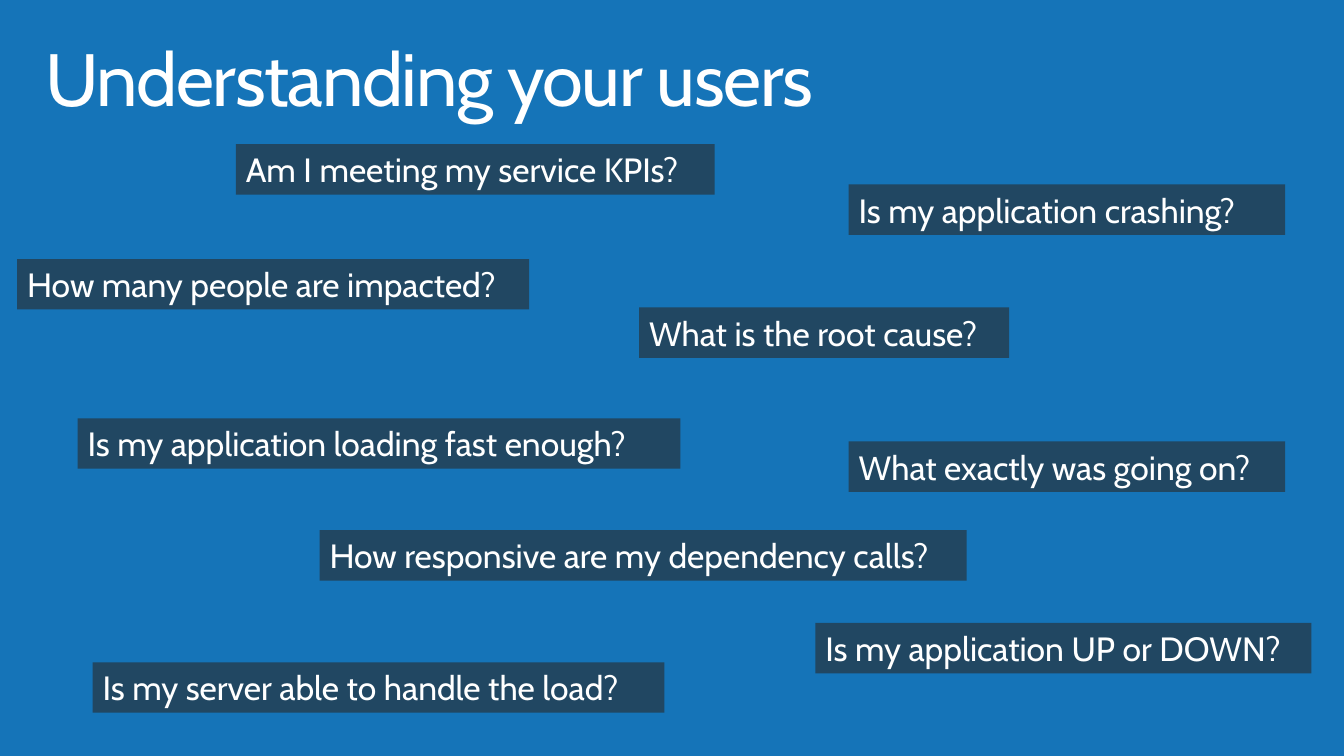
"""Build a slide of questions scattered under the title Understanding your users."""
import pptx
import pptx.dml.color
import pptx.enum.shapes
import pptx.enum.text
import pptx.oxml
import pptx.oxml.ns
import pptx.util

WIDTH, HEIGHT = 13.33, 7.5
FONT = "Cabin"
COLORS = {"background": "1574B8", "label": "292929", "text": "FFFFFF"}
LABEL_OPACITY = 60
LABEL_HEIGHT = 6.67

TITLE = ("Understanding your users", 2.18, 4.27, 94.65, 13.07)

# Text, then left, top and width as percentages of the slide
QUESTIONS = [
    ("Am I meeting my service KPIs?", 17.55, 19.07, 35.63),
    ("What is the root cause?", 47.55, 40.67, 27.53),
    ("Is my application loading fast enough?", 5.78, 55.33, 44.85),
    ("Is my application UP or DOWN?", 60.68, 82.4, 36.9),
    ("How many people are impacted?", 1.28, 34.27, 38.1),
    ("Is my application crashing?", 63.15, 24.4, 32.48),
    ("What exactly was going on?", 63.15, 58.4, 32.48),
    ("How responsive are my dependency calls?", 23.78, 70.13, 48.15),
    ("Is my server able to handle the load?", 6.9, 87.6, 42.53),
]


def color(name):
    return pptx.dml.color.RGBColor.from_string(COLORS[name])


def add_text(page, text, left, top, width, height, *, size, fill=None, opacity=100,
             inset=(0.1, 0.05), line_spacing=1.0, tracking=0, grow=False):
    box = page.shapes.add_shape(
        pptx.enum.shapes.MSO_SHAPE.RECTANGLE,
        pptx.util.Inches(WIDTH * left / 100), pptx.util.Inches(HEIGHT * top / 100),
        pptx.util.Inches(WIDTH * width / 100), pptx.util.Inches(HEIGHT * height / 100),
    ) if fill else page.shapes.add_textbox(
        pptx.util.Inches(WIDTH * left / 100), pptx.util.Inches(HEIGHT * top / 100),
        pptx.util.Inches(WIDTH * width / 100), pptx.util.Inches(HEIGHT * height / 100),
    )
    if fill:
        box.shadow.inherit = False
        box.line.fill.background()
        box.fill.solid()
        box.fill.fore_color.rgb = color(fill)
        shade = box.fill._xPr.find(".//" + pptx.oxml.ns.qn("a:srgbClr"))
        alpha = pptx.oxml.parse_xml(f'<a:alpha {pptx.oxml.ns.nsdecls("a")} val="{opacity * 1000}"/>')
        shade.append(alpha)

    frame = box.text_frame
    frame.word_wrap = True
    frame.vertical_anchor = pptx.enum.text.MSO_ANCHOR.TOP
    fit = pptx.enum.text.MSO_AUTO_SIZE
    frame.auto_size = fit.SHAPE_TO_FIT_TEXT if grow else fit.NONE
    frame.margin_left = frame.margin_right = pptx.util.Inches(inset[0])
    frame.margin_top = frame.margin_bottom = pptx.util.Inches(inset[1])

    para = frame.paragraphs[0]
    para.alignment = pptx.enum.text.PP_ALIGN.LEFT
    para.line_spacing = line_spacing
    span = para.add_run()
    span.text = text
    span.font.name = FONT
    span.font.size = pptx.util.Pt(size)
    span.font.color.rgb = color("text")
    if tracking:
        span.font._element.set("spc", str(tracking * 100))


def main():
    deck = pptx.Presentation()
    deck.slide_width = pptx.util.Inches(WIDTH)
    deck.slide_height = pptx.util.Inches(HEIGHT)
    page = deck.slides.add_slide(deck.slide_layouts[6])
    page.background.fill.solid()
    page.background.fill.fore_color.rgb = color("background")

    add_text(page, *TITLE, size=52.9, inset=(0.16, 0.1), line_spacing=0.9, tracking=-1)
    for question in QUESTIONS:
        add_text(page, *question, LABEL_HEIGHT, size=24, fill="label",
                 opacity=LABEL_OPACITY, grow=True)
    deck.save("out.pptx")


if __name__ == "__main__":
    main()
